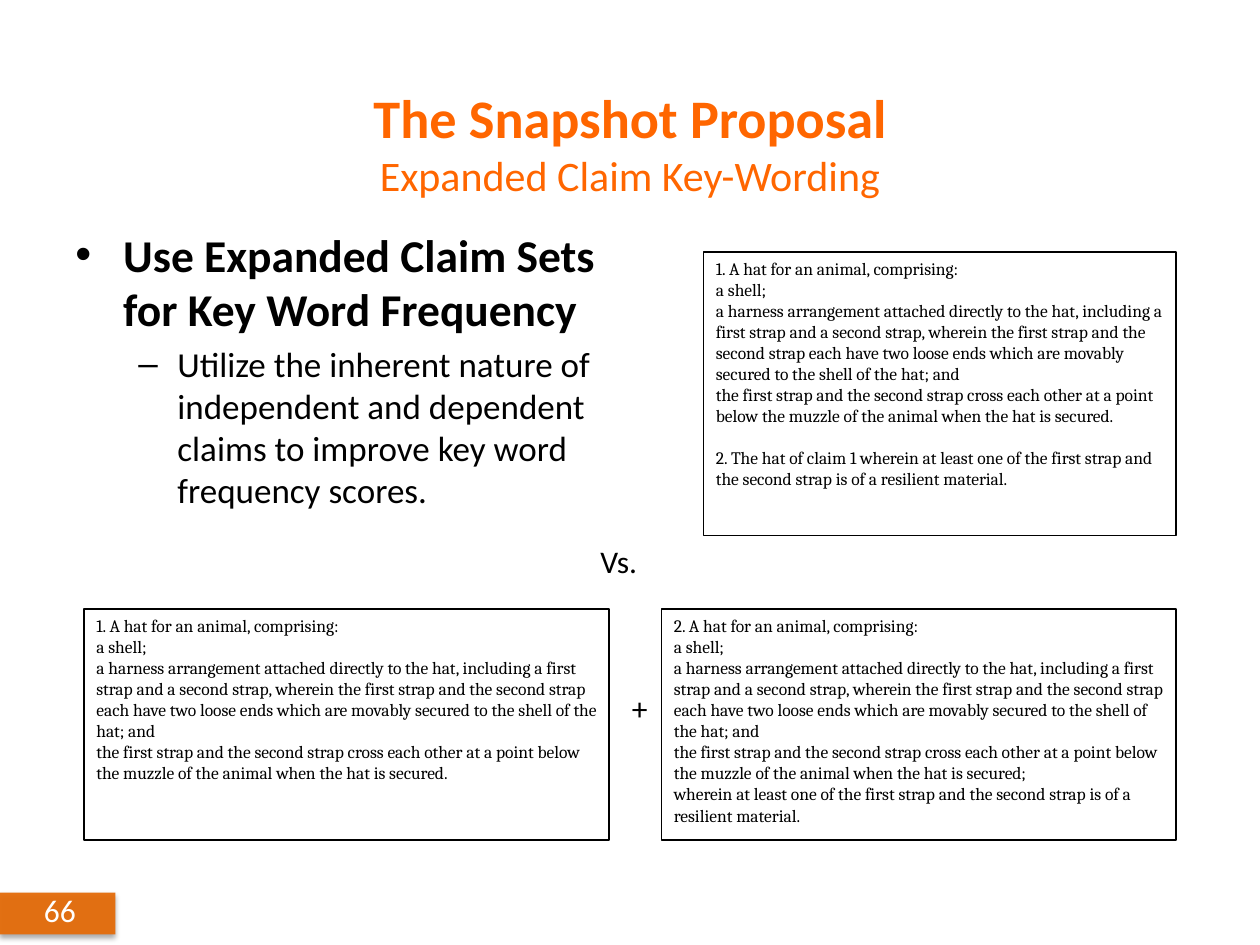
from typing import NamedTuple, Optional

from lxml import etree
from pptx import Presentation, util as u
from pptx.dml.color import RGBColor
from pptx.enum import shapes, text
from pptx.oxml.ns import qn

BLACK = RGBColor(0x00, 0x00, 0x00)
WHITE = RGBColor(0xFF, 0xFF, 0xFF)
ORANGE = RGBColor(0xFF, 0x66, 0x00)
TAB_ORANGE = RGBColor(0xE4, 0x6C, 0x0A)

CELL = u.Inches(1) // 12  # the 10 x 7.5 inch slide is 120 columns by 90 rows


class Area(NamedTuple):
    col: float
    row: float
    cols: float
    rows: float

    def emu(self) -> list[int]:
        return [round(part * CELL) for part in self]


class Style(NamedTuple):
    size: float
    color: RGBColor = BLACK
    bold: bool = False
    font: str = "Calibri"


class Bullet(NamedTuple):
    mark: str
    words: str
    style: Style
    margin: float
    hang: float
    before: float


class ClaimBox(NamedTuple):
    area: Area
    lines: list[str]
    gap_before: Optional[int] = None  # line set apart from those above it


def style_run(run, style: Style) -> None:
    run.font.name = style.font
    run.font.size = u.Pt(style.size)
    run.font.bold = style.bold
    run.font.color.rgb = style.color


def add_label(slide, area: Area, words: str, styles: list[Style], wrap: bool = True):
    """Add a text box whose runs take the given styles in turn."""
    frame = slide.shapes.add_textbox(*area.emu()).text_frame
    frame.word_wrap = wrap
    frame.text = words
    paragraph = frame.paragraphs[0]
    paragraph.alignment = text.PP_ALIGN.LEFT
    for run, style in zip(paragraph.runs, styles):
        style_run(run, style)
    return frame


def add_box(slide, area: Area, fill: RGBColor):
    box = slide.shapes.add_shape(shapes.MSO_SHAPE.RECTANGLE, *area.emu())
    box.shadow.inherit = False
    box.fill.solid()
    box.fill.fore_color.rgb = fill
    return box


def add_claims(slide, claims: ClaimBox) -> None:
    box = add_box(slide, claims.area, WHITE)
    box.line.color.rgb = BLACK
    box.line.width = u.Pt(0.75)
    frame = box.text_frame
    frame.word_wrap = True
    frame.vertical_anchor = text.MSO_ANCHOR.TOP
    frame.text = "\n".join(claims.lines)
    for index, paragraph in enumerate(frame.paragraphs):
        paragraph.alignment = text.PP_ALIGN.LEFT
        if index == claims.gap_before:
            paragraph.space_before = u.Pt(12)
        style_run(paragraph.runs[0], Style(10, font="Cambria"))


def add_bullets(slide, area: Area, bullets: list[Bullet]) -> None:
    frame = slide.shapes.add_textbox(*area.emu()).text_frame
    frame.word_wrap = True
    frame.text = "\n".join(bullet.words for bullet in bullets)
    for level, (paragraph, bullet) in enumerate(zip(frame.paragraphs, bullets)):
        props = paragraph._p.get_or_add_pPr()
        props.set("marL", str(u.Inches(bullet.margin)))
        props.set("indent", str(-u.Inches(bullet.hang)))
        etree.SubElement(props, qn("a:buFont"), typeface="Arial")
        etree.SubElement(props, qn("a:buChar"), char=bullet.mark)
        paragraph.level = level
        paragraph.space_before = u.Pt(bullet.before)
        style_run(paragraph.runs[0], bullet.style)


def add_page_tab(slide, area: Area) -> None:
    tab = add_box(slide, area, TAB_ORANGE)
    tab.line.fill.background()
    props = tab._element.spPr
    fill_color = props.find(qn("a:solidFill")).find(qn("a:srgbClr"))
    etree.SubElement(fill_color, qn("a:alpha"), val="95000")
    shadow = etree.SubElement(
        props.find(qn("a:effectLst")), qn("a:outerShdw"),
        blurRad=str(u.Pt(3.1)), dist=str(u.Pt(1.8)), dir="5400000", rotWithShape="0")
    shade = etree.SubElement(shadow, qn("a:srgbClr"), val=str(BLACK))
    etree.SubElement(shade, qn("a:alpha"), val="35000")


# Claim wording shared by the boxes
PREAMBLE = "A hat for an animal, comprising:"
SHELL = "a shell;"
HARNESS = ("a harness arrangement attached directly to the hat, including a first strap "
           "and a second strap, wherein the first strap and the second strap each have two "
           "loose ends which are movably secured to the shell of the hat; and")
CROSSING = ("the first strap and the second strap cross each other at a point below the "
            "muzzle of the animal when the hat is secured")
RESILIENT = ("wherein at least one of the first strap and the second strap is of a "
             "resilient material.")


def hat_claim(number: int, ending: str) -> list[str]:
    return [f"{number}. {PREAMBLE}", SHELL, HARNESS, CROSSING + ending]


CLAIM_BOXES = [
    ClaimBox(Area(67, 24, 45, 27),
             hat_claim(1, ".") + [f"2. The hat of claim 1 {RESILIENT}"], gap_before=4),
    ClaimBox(Area(63, 58, 49, 22), hat_claim(2, ";") + [RESILIENT]),
    ClaimBox(Area(8, 58, 50, 22), hat_claim(1, ".")),
]

BULLETS = [
    Bullet("•", "Use Expanded Claim Sets for Key Word Frequency",
           Style(26, bold=True), 0.38, 0.38, 0),
    Bullet("–", "Utilize the inherent nature of independent and dependent claims to "
           "improve key word frequency scores.", Style(20), 0.81, 0.31, 4),
]


def main() -> None:
    deck = Presentation()
    deck.slide_width, deck.slide_height = 120 * CELL, 90 * CELL
    slide = deck.slides.add_slide(deck.slide_layouts[6])

    # Page number
    add_page_tab(slide, Area(0, 85, 11, 4))
    add_label(slide, Area(3, 84.25, 11, 4.8), "66", [Style(18, WHITE)])

    # Title and subtitle
    title = add_label(slide, Area(6, 6, 108, 15),
                      "The Snapshot Proposal\vExpanded Claim Key-Wording",
                      [Style(31, ORANGE, bold=True), Style(24, ORANGE)])
    title.vertical_anchor = text.MSO_ANCHOR.MIDDLE
    title.paragraphs[0].alignment = text.PP_ALIGN.CENTER

    # Claim sets being compared
    for claims in CLAIM_BOXES:
        add_claims(slide, claims)

    # Argument
    add_bullets(slide, Area(6, 21, 55, 33), BULLETS)

    # Signs between the claim sets
    add_label(slide, Area(56, 51, 6, 4.8), "Vs.", [Style(18)], wrap=False)
    add_label(slide, Area(59, 65, 4, 4.8), "+", [Style(18)], wrap=False)

    deck.save("out.pptx")


if __name__ == "__main__":
    main()
